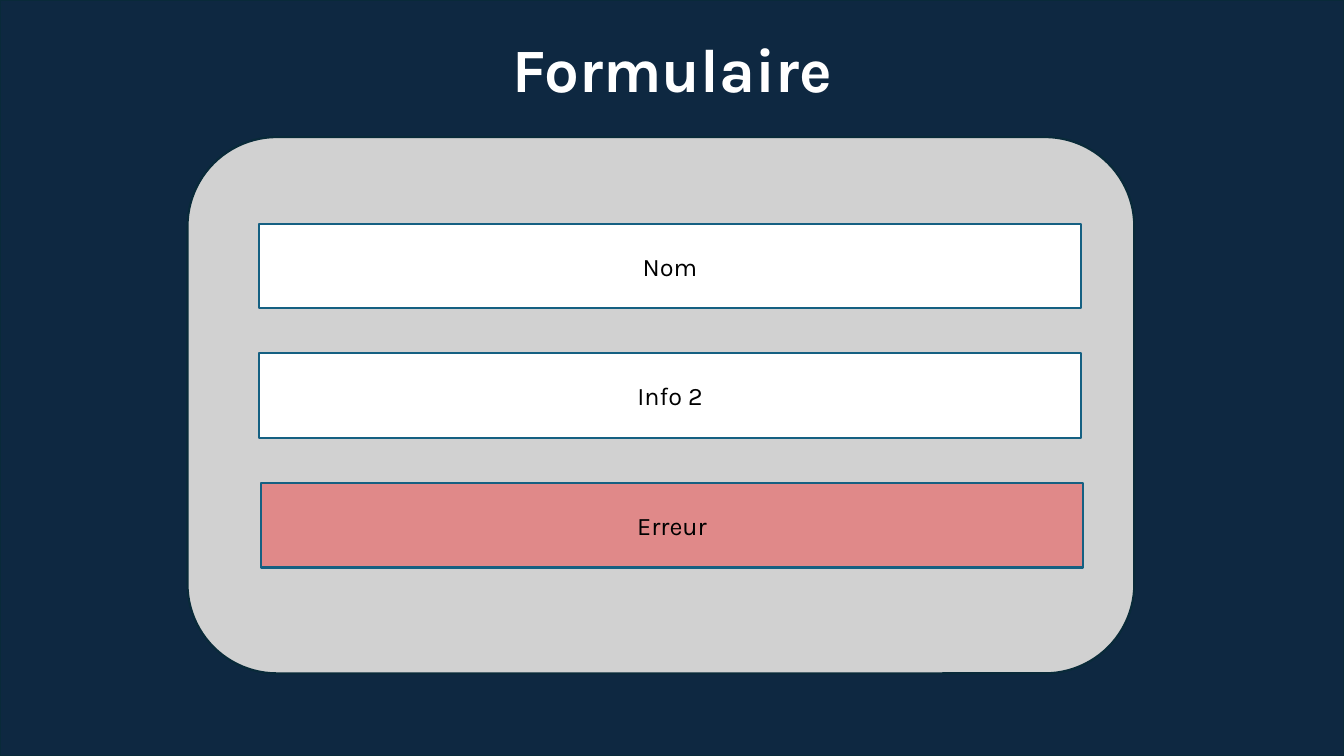
from lxml import etree
from pptx import Presentation
from pptx.dml.color import RGBColor
from pptx.enum.shapes import MSO_SHAPE
from pptx.enum.text import MSO_ANCHOR, PP_ALIGN
from pptx.oxml.ns import qn
from pptx.util import Inches, Pt

RECTANGLE = MSO_SHAPE.RECTANGLE
ROUNDED = MSO_SHAPE.ROUNDED_RECTANGLE
CENTER = PP_ALIGN.CENTER
MIDDLE, TOP = MSO_ANCHOR.MIDDLE, MSO_ANCHOR.TOP

THEME = {
    "font": "Karla",
    "title_size": 44,
    "field_size": 18,
    "line_width": 1.5,
    "navy": "0E2841",
    "dark_edge": "092A39",
    "panel": "D1D1D1",
    "field_edge": "156082",
    "white": "FFFFFF",
    "black": "000000",
    "error": "FF0000",
}


def add_box(slide, preset, left, top, width, height, fill, edge):
    shape = slide.shapes.add_shape(
        preset, Inches(left), Inches(top), Inches(width), Inches(height))
    shape.shadow.inherit = False
    shape.fill.solid()
    shape.fill.fore_color.rgb = RGBColor.from_string(THEME[fill])
    shape.line.color.rgb = RGBColor.from_string(THEME[edge])
    shape.line.width = Pt(THEME["line_width"])
    return shape


def write_text(shape, text, size, color, bold, anchor):
    frame = shape.text_frame
    frame.word_wrap = True
    frame.vertical_anchor = anchor
    paragraph = frame.paragraphs[0]
    paragraph.text = text
    paragraph.alignment = CENTER
    font_format = {"name": THEME["font"], "size": Pt(THEME[size]), "bold": bold}
    for attribute, value in font_format.items():
        setattr(paragraph.runs[0].font, attribute, value)
    paragraph.runs[0].font.color.rgb = RGBColor.from_string(THEME[color])


presentation = Presentation()
presentation.slide_width = Inches(13.33)
presentation.slide_height = Inches(7.5)
slide = presentation.slides.add_slide(presentation.slide_layouts[5])

# Backdrop and form panel
add_box(slide, RECTANGLE, 0, 0, 13.33, 7.5, "navy", "dark_edge")
panel = add_box(slide, ROUNDED, 1.86, 1.36, 9.39, 5.32, "panel", "dark_edge")

# Title, brought in front of the backdrop
title = slide.shapes.title
title_place = {"left": 4.58, "top": 0.26, "width": 4.18, "height": 0.84}
for attribute, value in title_place.items():
    setattr(title, attribute, Inches(value))
write_text(title, "Formulaire", "title_size", "white", True, TOP)
panel.element.addnext(title.element)

# Form fields: text, left edge, fill, opacity in percent
FIELDS = [
    ("Nom", 2.57, "white", 100),
    ("Info 2", 2.57, "white", 100),
    ("Erreur", 2.59, "error", 34),
]
FIRST_TOP, FIELD_STEP = 2.22, 1.285
for index, (label, left, fill, opacity) in enumerate(FIELDS):
    top = FIRST_TOP + index * FIELD_STEP
    field = add_box(slide, RECTANGLE, left, top, 8.15, 0.84, fill, "field_edge")
    write_text(field, label, "field_size", "black", False, MIDDLE)
    if opacity < 100:
        fill_color = field.element.spPr.find(qn("a:solidFill"))[0]
        alpha = etree.SubElement(fill_color, qn("a:alpha"))
        alpha.set("val", str(opacity * 1000))

presentation.save("out.pptx")
